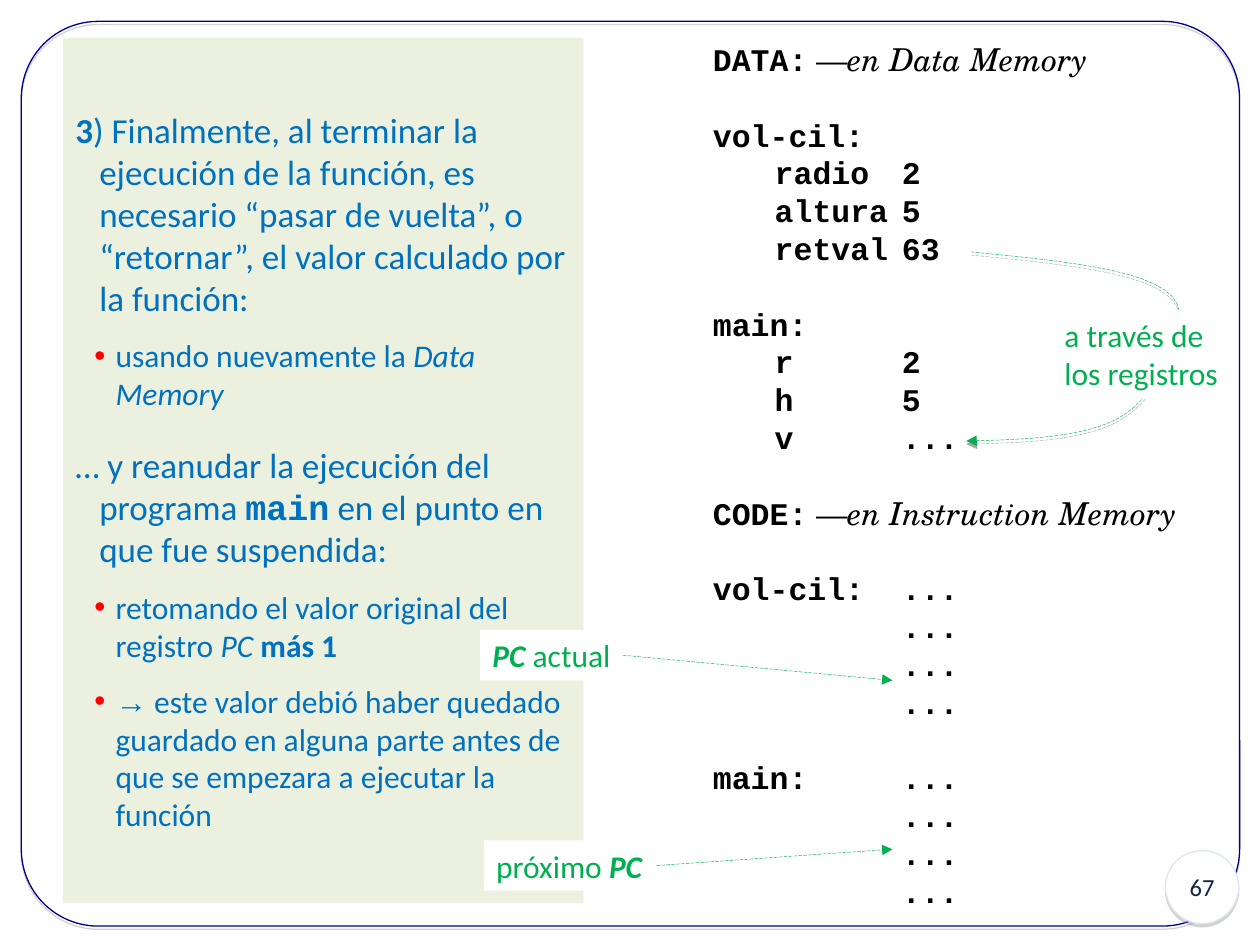
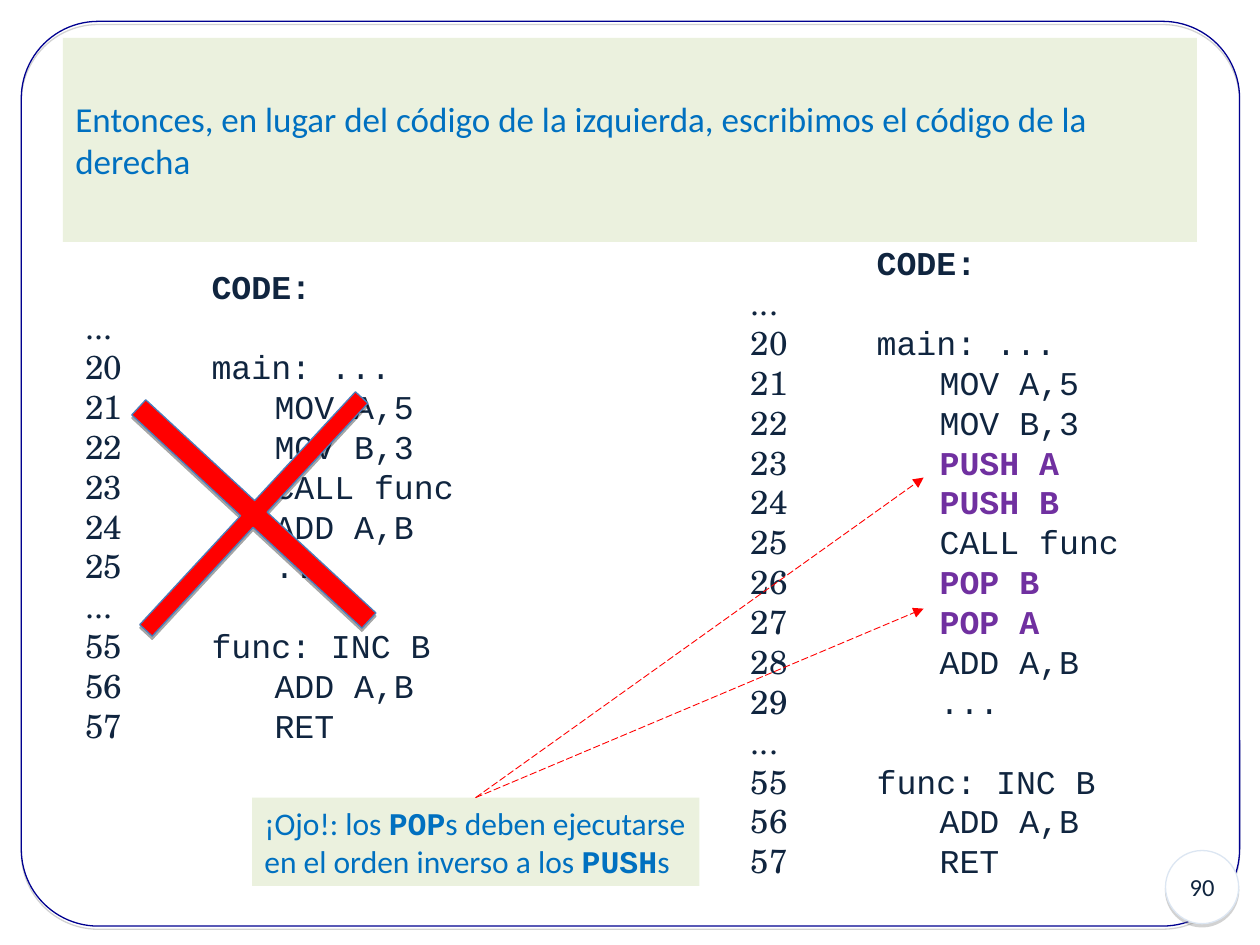
from pptx import Presentation
from pptx.dml.color import RGBColor
from pptx.enum.dml import MSO_LINE
from pptx.enum.shapes import MSO_CONNECTOR, MSO_SHAPE
from pptx.enum.text import MSO_ANCHOR, PP_ALIGN
from pptx.oxml import parse_xml
from pptx.oxml.ns import nsdecls, qn
from pptx.util import Pt

PALE, WHITE, NAVY, INK = "EBF1DE", "FFFFFF", "000090", "10253F"
BLUE, GREEN, RED, PLUM, BLACK = "0070C0", "00B050", "FF0000", "7030A0", "000000"
FACES = {"c": "Courier New", "s": "TeX Gyre Schola", "a": "Arial"}
NS = nsdecls("a")
hue = RGBColor.from_string


def box(slide, kind, place, fill=None, edge=None):
    """Add a preset shape; place is left, top, width, height in points."""
    shape = slide.shapes.add_shape(kind, *[Pt(n) for n in place])
    shape.shadow.inherit = False
    if fill:
        shape.fill.solid()
        shape.fill.fore_color.rgb = hue(fill)
    else:
        shape.fill.background()
    if edge:
        shape.line.color.rgb = hue(edge)
        shape.line.width = Pt(0.75)
    else:
        shape.line.fill.background()
    return shape


def write(shape, rows, size, color, stops=(), wrap=True):
    """Fill a shape with rows of (text, style) runs.

    Style letters: b bold, i italic, v plum, c, s and a the typefaces.
    """
    frame = shape.text_frame
    frame.word_wrap = wrap
    for k, row in enumerate(rows):
        para = frame.add_paragraph() if k else frame.paragraphs[0]
        para.alignment = PP_ALIGN.LEFT
        if stops:
            tabs = "".join(f'<a:tab pos="{Pt(s)}" algn="l"/>' for s in stops)
            para._p.get_or_add_pPr().append(
                parse_xml(f"<a:tabLst {NS}>{tabs}</a:tabLst>"))
        for text, style in row:
            run = para.add_run()
            run.text = text
            font = run.font
            font.size = Pt(size)
            font.bold = "b" in style
            font.italic = "i" in style
            font.name = next((FACES[s] for s in style if s in FACES), "Calibri")
            font.color.rgb = hue(PLUM if "v" in style else color)
    return frame


deck = Presentation()
deck.slide_width, deck.slide_height = Pt(720), Pt(540)
slides, shades, wires = [], [], []

# Frame and page number
for page in ("67", "90"):
    slide = deck.slides.add_slide(deck.slide_layouts[6])
    slides.append(slide)
    border = box(slide, MSO_SHAPE.ROUNDED_RECTANGLE, (12.2, 12.2, 696.2, 517), edge=NAVY)
    border.adjustments[0] = 0.085
    badge = box(slide, MSO_SHAPE.OVAL, (666, 486, 41.8, 41.8), WHITE, "DCE6F2")
    frame = write(badge, [[(page, "")]], 14, INK, wrap=False)
    frame.vertical_anchor = MSO_ANCHOR.MIDDLE
    frame.paragraphs[0].alignment = PP_ALIGN.CENTER
    shades += [(border, "808080"), (badge, "808080")]
ret, stack = slides

# Return of the value: explanation
panel = box(ret, MSO_SHAPE.RECTANGLE, (36, 21.6, 297.4, 494.6), PALE)
points = [
    (0, [("3", "b"), (") Finalmente, al terminar la ejecución de la función, es necesario "
                      "“pasar de vuelta”, o “retornar”, el valor calculado por la función:", "")]),
    (1, [("usando nuevamente la ", ""), ("Data Memory", "i")]),
    (0, [("… y reanudar la ejecución del programa ", ""), ("main", "bc"),
         (" en el punto en que fue suspendida:", "")]),
    (1, [("retomando el valor original del registro ", ""), ("PC ", "i"), ("más 1", "b")]),
    (1, [("→", "a"), (" este valor debió haber quedado guardado en alguna parte antes "
                      "de que se empezara a ejecutar la función", "")]),
]
frame = write(panel, [row for _, row in points], 20, BLUE)
frame.vertical_anchor = MSO_ANCHOR.MIDDLE
for k, (para, (level, _)) in enumerate(zip(frame.paragraphs, points)):
    para.level = level
    para.space_before = Pt((18, 10.5)[level] if k else 0)
    props = para._p.get_or_add_pPr()
    left, hang = ((13.7, 13.7), (23, 12.2))[level]
    props.set("marL", str(Pt(left)))
    props.set("indent", str(-Pt(hang)))
    if level:
        props.append(parse_xml(f'<a:buClr {NS}><a:srgbClr val="{RED}"/></a:buClr>'))
        props.append(parse_xml(f'<a:buFont {NS} typeface="Arial"/>'))
        props.append(parse_xml(f'<a:buChar {NS} char="•"/>'))
        for run in para.runs:
            run.font.size = Pt(18)

# Return of the value: memory listing, one inner list per block
dots = ["\t\t..."] * 3
blocks = [
    ["DATA:"],
    ["vol-cil:", "\tradio\t2", "\taltura\t5", "\tretval\t63"],
    ["main:", "\tr\t2", "\th\t5", "\tv\t..."],
    ["CODE:"],
    ["vol-cil:\t...", *dots],
    ["main:\t...", *dots],
]
notes = {"DATA:": "en Data Memory", "CODE:": "en Instruction Memory"}
rows, gaps = [], []
for block in blocks:
    for k, line in enumerate(block):
        row = [(line, "bc")]
        if line in notes:
            row += [(" —", "s"), (notes[line], "si")]
        gaps.append(0 if k or not rows else 21.6)
        rows.append(row)
memory = ret.shapes.add_textbox(Pt(400.3), Pt(19.4), Pt(290), Pt(504))
frame = write(memory, rows, 18, BLACK, (35.3, 108))
for para, gap in zip(frame.paragraphs, gaps):
    para.line_spacing = Pt(21.6)
    para.space_before = Pt(gap)

# Return of the value: labels and arrows
labels = [
    ((274.3, 360, 81.6, 28.8), [("PC", "bi"), (" actual", "")], (510, 388.8)),
    ((276.5, 480.2, 98.6, 28.8), [("próximo ", ""), ("PC", "bi")], (510, 485.3)),
]
for place, row, (x, y) in labels:
    label = box(ret, MSO_SHAPE.RECTANGLE, place, WHITE)
    write(label, [row], 18, GREEN, wrap=False)
    wire = ret.shapes.add_connector(MSO_CONNECTOR.STRAIGHT, 0, 0, Pt(x), Pt(y))
    wire.begin_connect(label, 3)
    wires.append((wire, GREEN, 0.25, "tailEnd"))

curves = [
    ((552.2, 252), (588.2, 251.3), (624.2, 249.8), (643.7, 236.2)),
    ((643.7, 236.2), (663.1, 222.5), (684, 184.3), (669.6, 169.2)),
    ((669.6, 169.2), (654.5, 153.4), (604.8, 149), (555.1, 144)),
]
steps = 12
trail = []
for curve in curves:
    for t in [n / steps for n in range(1, steps + 1)]:
        mix = ((1 - t) ** 3, 3 * t * (1 - t) ** 2, 3 * t * t * (1 - t), t ** 3)
        trail.append([Pt(sum(m * p[axis] for m, p in zip(mix, curve))) for axis in (0, 1)])
pen = ret.shapes.build_freeform(*[Pt(n) for n in curves[0][0]])
pen.add_line_segments(trail, close=False)
loop = pen.convert_to_shape()
loop.fill.background()
loop.shadow.inherit = False
shades.append((loop, BLACK))
wires.append((loop, GREEN, 0.25, "headEnd"))
via = box(ret, MSO_SHAPE.RECTANGLE, (601.2, 177.1, 103, 50.4), WHITE)
write(via, [[("a través de", "")], [("los registros", "")]], 18, GREEN, wrap=False)

# Use of the stack: heading and warning
head = box(stack, MSO_SHAPE.RECTANGLE, (36, 21.6, 648, 116.6), PALE)
frame = write(head, [[("Entonces, en lugar del código de la izquierda, "
                       "escribimos el código de la derecha", "")]], 20, BLUE)
frame.vertical_anchor = MSO_ANCHOR.MIDDLE
alert = box(stack, MSO_SHAPE.RECTANGLE, (144, 455.8, 255.6, 50.4), PALE)
write(alert, [[("¡Ojo!: los ", ""), ("POP", "bc"), ("s deben ejecutarse", "")],
              [("en el orden inverso a los ", ""), ("PUSH", "bc"), ("s", "")]],
      18, BLUE, wrap=False)

# Use of the stack: code before and after
saved = ["PUSH A", "PUSH B", "CALL func", "POP B", "POP A"]
for place, calls in (((41.8, 138.2, 246.2, 301.7), ["CALL func"]),
                     ((421.9, 131.8, 246.2, 378), saved)):
    rows = [[("\tCODE:", "bc")]]
    for start, first, body in ((20, "main: ...", ["MOV A,5", "MOV B,3", *calls, "ADD A,B", "..."]),
                               (55, "func: INC B", ["ADD A,B", "RET"])):
        rows += [[("...", "s")], [(f"{start}\t", "s"), (first, "c")]]
        for k, code in enumerate(body, start + 1):
            style = "bcv" if code.startswith(("PUSH", "POP")) else "c"
            rows.append([(f"{k}\t\t", "s"), (code, style)])
    listing = stack.shapes.add_textbox(*[Pt(n) for n in place])
    frame = write(listing, rows, 19, INK, (72, 108))
    frame.vertical_anchor = MSO_ANCHOR.MIDDLE

cross = box(stack, MSO_SHAPE.CROSS, (55.4, 203, 179.3, 181.4), RED, "4A7EBB")
cross.adjustments[0] = 0.473
cross.rotation = 42.8
shades.append((cross, BLACK))
for y in (347.8, 272.9):
    wire = stack.shapes.add_connector(MSO_CONNECTOR.STRAIGHT, 0, 0, Pt(527.8), Pt(y))
    wire.begin_connect(alert, 0)
    wires.append((wire, RED, 0.5, "tailEnd"))

# Dashes, arrowheads and shadows
for wire, color, width, end in wires:
    wire.line.color.rgb = hue(color)
    wire.line.width = Pt(width)
    wire.line.dash_style = MSO_LINE.LONG_DASH
    props = wire._element.spPr
    props.find(qn("a:ln")).append(parse_xml(f'<a:{end} {NS} type="triangle"/>'))
    if props.find(qn("a:effectLst")) is None:
        props.append(parse_xml(f"<a:effectLst {NS}/>"))
for shape, color in shades:
    shape._element.spPr.find(qn("a:effectLst")).append(parse_xml(
        f'<a:outerShdw {NS} dist="{Pt(1.8)}" dir="5400000" rotWithShape="0">'
        f'<a:srgbClr val="{color}"><a:alpha val="35000"/></a:srgbClr></a:outerShdw>'))

deck.save("out.pptx")
